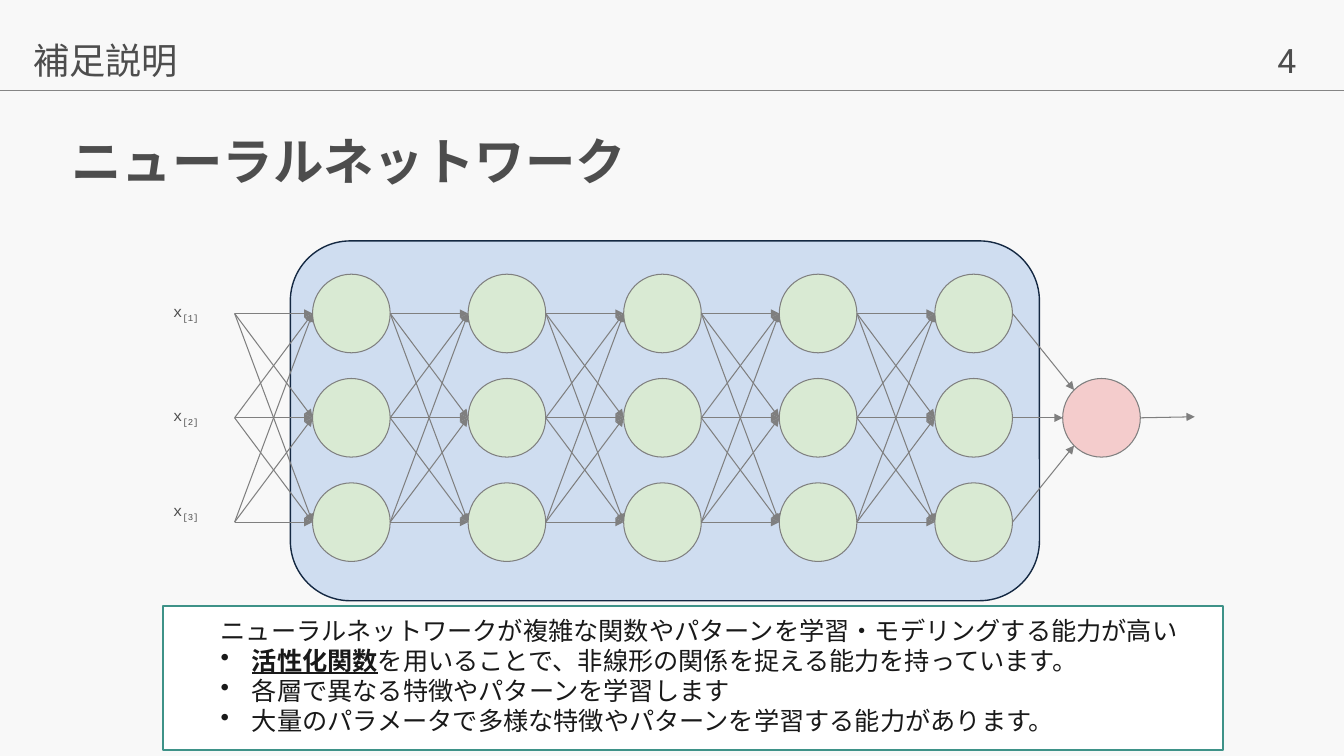
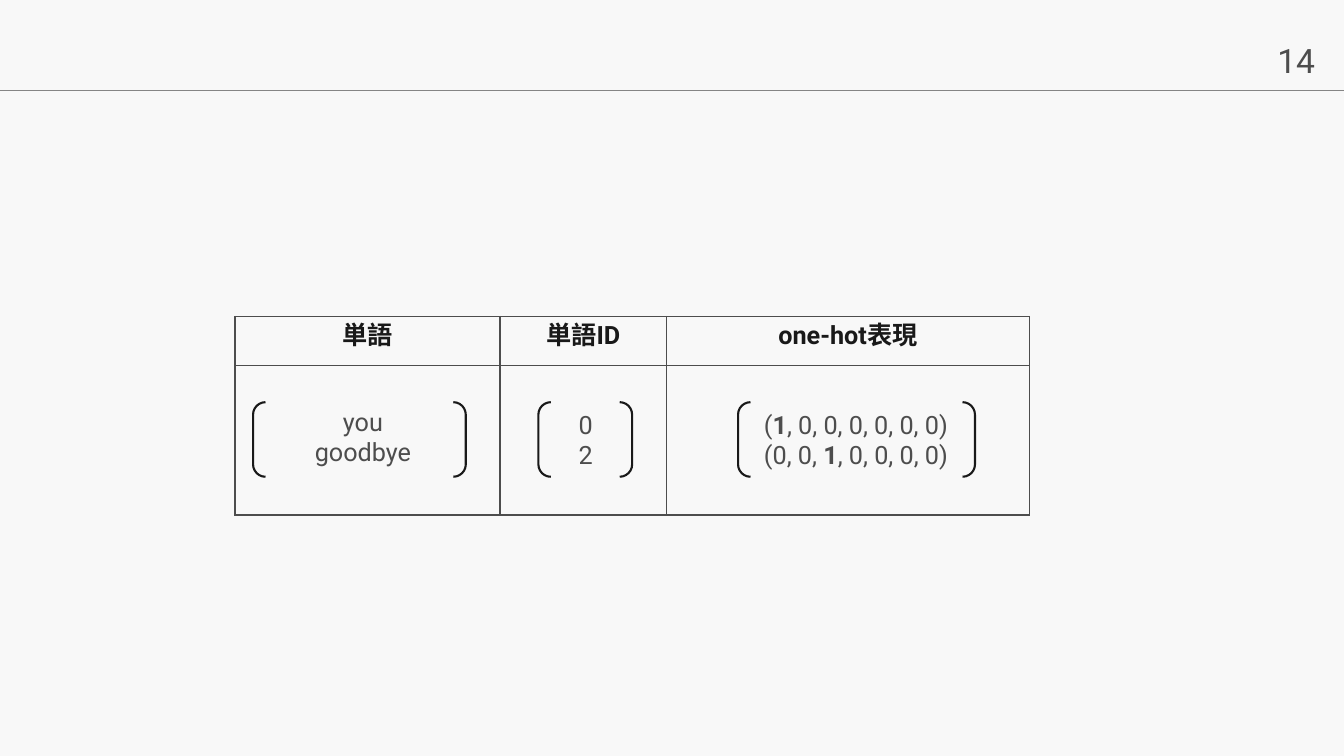
from itertools import product
from math import sqrt

from lxml import etree
from pptx import Presentation
from pptx import util as u
from pptx.dml.color import RGBColor
from pptx.enum import shapes, text
from pptx.oxml import ns

# ---- content ----
COLORS = {
    "page": "F8F8F8", "rule": "858585", "text": "4D4D4D", "dark": "191919",
    "white": "FFFFFF", "teal": "3E9288", "panel": "CFDDF0", "navy": "142842",
    "hidden": "D9EAD3", "output": "F4CCCC", "edge": "7F7F7F",
}
SANS, CJK, MONO = "Roboto", "Noto Sans CJK JP", "Courier New"

SECTION = "補足説明"
TITLE = "ニューラルネットワーク"
INPUTS = [("1", 3.0), ("2", 4.03), ("3", 4.97)]  # index, top of label
SUMMARY = "ニューラルネットワークが複雑な関数やパターンを学習・モデリングする能力が高い"
POINTS = [
    ("Calibri", [("活性化関数", "bu"),
                 ("を用いることで、非線形の関係を捉える能力を持っています。", "")]),
    (SANS, [("各層で異なる特徴やパターンを学習します", "")]),
    (SANS, [("大量のパラメータで多様な特徴やパターンを学習する能力があります。", "")]),
]

HEADERS = ["単語", "単語ID", "one-hot表現"]
# bracket left and width, text left, top and width, lines
VECTORS = [
    (2.51, 2.11, 2.71, 3.98, 1.78, [[("you", "")], [("goodbye", "")]]),
    (5.34, 0.93, 5.53, 4.01, 0.56, [[("0", "")], [("2", "")]]),
    (7.32, 2.35, 7.38, 4.01, 2.22, [
        [("(", ""), ("1", "b"), (", 0, 0, 0, 0, 0, 0)", "")],
        [("(0, 0, ", ""), ("1", "b"), (", 0, 0, 0, 0)", "")]]),
]

# ---- grid, in inches ----
WIDTH, HEIGHT, RULE_Y = 13.33, 7.5, 0.9
LAYERS, ROWS = 5, 3
NODE_W, NODE_H = 0.77, 0.78
NODE_X, NODE_Y = 3.1, 2.72
STEP_X, STEP_Y = 1.543, 1.035
OUTPUT_X, ARROW_END = 10.54, 11.85
TABLE_X, TABLE_Y = 2.33, 3.14
COLS, TABLE_ROWS = (2.63, 1.65, 3.6), (0.49, 1.48)


def rgb(name):
    """Look up a named colour."""
    return RGBColor.from_string(COLORS[name])


def inches(*values):
    """Convert numbers to lengths."""
    return [u.Inches(v) for v in values]


def write(p, runs, size, font=SANS, color="text", align=None):
    """Fill a paragraph; run marks are b (bold), u (underline), s (subscript)."""
    p.alignment = align
    for words, marks in runs:
        r = p.add_run()
        r.text = words
        r.font.size = u.Pt(size)
        r.font.bold = "b" in marks
        r.font.underline = "u" in marks
        r.font.color.rgb = rgb(color)
        r.font.name = font
        props = r._r.get_or_add_rPr()
        etree.SubElement(props, ns.qn("a:ea"), typeface=font)
        if "s" in marks:
            props.set("baseline", "-25000")


def add_text(s, box, lines, size, pad_y=0.05, anchor=text.MSO_ANCHOR.TOP,
             spacing=None, **style):
    """Add a wrapped text box and return its text frame."""
    tf = s.shapes.add_textbox(*inches(*box)).text_frame
    tf.word_wrap = True
    tf.vertical_anchor = anchor
    tf.margin_top = tf.margin_bottom = u.Inches(pad_y)
    for i, runs in enumerate(lines):
        p = tf.paragraphs[0] if i == 0 else tf.add_paragraph()
        if spacing:
            p.line_spacing = spacing
        write(p, runs, size, **style)
    return tf


def add_shape(s, kind, box, fill, line, width):
    """Add a flat preset shape, unfilled when fill is None."""
    sp = s.shapes.add_shape(kind, *inches(*box))
    sp.shadow.inherit = False
    if fill:
        sp.fill.solid()
        sp.fill.fore_color.rgb = rgb(fill)
    else:
        sp.fill.background()
    sp.line.color.rgb = rgb(line)
    sp.line.width = u.Pt(width)


def add_line(s, start, end, color, width, arrow=False):
    """Add a straight line, with an arrowhead at its end if wanted."""
    c = s.shapes.add_connector(shapes.MSO_CONNECTOR.STRAIGHT,
                               *inches(*start, *end))
    c.line.color.rgb = rgb(color)
    c.line.width = u.Pt(width)
    if arrow:
        etree.SubElement(c.line._get_or_add_ln(), ns.qn("a:tailEnd"),
                         type="triangle")
    etree.SubElement(c._element.spPr, ns.qn("a:effectLst"))


def add_bullet(tf, runs, font):
    """Append a bulleted paragraph with a hanging indent."""
    p = tf.add_paragraph()
    write(p, runs, 18, font=font, color="dark")
    props = p._p.get_or_add_pPr()
    hang = u.Inches(0.31)
    props.set("marL", str(hang))
    props.set("indent", str(-hang))
    etree.SubElement(props, ns.qn("a:buChar"), char="•")


def set_borders(cell, color, width):
    """Draw a solid line on all four sides of a cell."""
    props = cell._tc.get_or_add_tcPr()
    for i, side in enumerate(("lnL", "lnR", "lnT", "lnB")):
        ln = etree.Element(ns.qn("a:" + side), w=str(u.Pt(width)))
        fill = etree.SubElement(ln, ns.qn("a:solidFill"))
        etree.SubElement(fill, ns.qn("a:srgbClr"), val=COLORS[color])
        props.insert(i, ln)


def new_slide(prs, number):
    """Add a slide with the shared background, page number and rule."""
    s = prs.slides.add_slide(prs.slide_layouts[6])
    s.background.fill.solid()
    s.background.fill.fore_color.rgb = rgb("page")
    add_text(s, (12.57, 0.35, 0.61, 0.5), [[(str(number), "")]], 24)
    add_line(s, (0, RULE_Y), (WIDTH, RULE_Y), "rule", 1)
    return s


def draw_network(s):
    """Draw the hidden layers, the output node and all arrows."""
    oval = shapes.MSO_SHAPE.OVAL
    lefts = [NODE_X + i * STEP_X for i in range(LAYERS)]
    tops = [NODE_Y + i * STEP_Y for i in range(ROWS)]
    mids = [top + NODE_H / 2 for top in tops]
    for x, y in product(lefts, tops):
        add_shape(s, oval, (x, y, NODE_W, NODE_H), "hidden", "edge", 0.75)
    for x, y1, y2 in product(lefts, mids, mids):
        add_line(s, (x - STEP_X + NODE_W, y1), (x, y2), "edge", 0.75, True)

    add_shape(s, oval, (OUTPUT_X, tops[1], NODE_W, NODE_H),
              "output", "edge", 0.75)
    right = lefts[-1] + NODE_W
    diag_x = OUTPUT_X + NODE_W / 2 * (1 - sqrt(0.5))
    diag_y = NODE_H / 2 * sqrt(0.5)
    ends = [(diag_x, mids[1] - diag_y), (OUTPUT_X, mids[1]),
            (diag_x, mids[1] + diag_y)]
    for y, end in zip(mids, ends):
        add_line(s, (right, y), end, "edge", 0.75, True)
    add_line(s, (OUTPUT_X + NODE_W, mids[1]), (ARROW_END, mids[1] - 0.01),
             "edge", 0.75, True)


def network_slide(prs):
    """Build the neural network slide."""
    s = new_slide(prs, 4)
    add_shape(s, shapes.MSO_SHAPE.RECTANGLE, (1.62, 6.01, 10.51, 1.43),
              "white", "teal", 1.5)
    add_text(s, (0.61, 1.11, 12.14, 1.03), [[(TITLE, "b")]], 36, font=CJK,
             anchor=text.MSO_ANCHOR.MIDDLE, spacing=0.9)
    add_shape(s, shapes.MSO_SHAPE.ROUNDED_RECTANGLE, (2.88, 2.39, 7.43, 3.57),
              "panel", "navy", 1)
    add_text(s, (0.23, 0.38, 12.53, 0.51), [[(SECTION, "")]], 25.9, font=CJK,
             spacing=0.9)
    draw_network(s)
    for index, top in INPUTS:
        add_text(s, (1.62, top, NODE_W, 0.47),
                 [[("x", ""), (f"[{index}]", "s")]], 11, pad_y=0, font=MONO)
    tf = add_text(s, (2.09, 6.05, 10.51, 1.31), [[(SUMMARY, "")]], 18,
                  font="Calibri", color="dark")
    for font, runs in POINTS:
        add_bullet(tf, runs, font)


def one_hot_slide(prs):
    """Build the one-hot table slide."""
    s = new_slide(prs, 14)
    center = text.PP_ALIGN.CENTER
    table = s.shapes.add_table(
        len(TABLE_ROWS), len(COLS),
        *inches(TABLE_X, TABLE_Y, sum(COLS), sum(TABLE_ROWS))).table
    table.first_row = table.horz_banding = False
    for col, width in zip(table.columns, COLS):
        col.width = u.Inches(width)
    for row, height in zip(table.rows, TABLE_ROWS):
        row.height = u.Inches(height)
    for cell in table.iter_cells():
        cell.fill.solid()
        cell.fill.fore_color.rgb = rgb("page")
        set_borders(cell, "text", 1)
    for i, header in enumerate(HEADERS):
        write(table.cell(0, i).text_frame.paragraphs[0], [(header, "b")], 18,
              color="dark", align=center)
    for left, width, text_x, text_y, text_w, lines in VECTORS:
        add_shape(s, shapes.MSO_SHAPE.DOUBLE_BRACKET,
                  (left, 3.99, width, 0.74), None, "dark", 1.5)
        add_text(s, (text_x, text_y, text_w, 0.71), lines, 18, align=center)


prs = Presentation()
prs.slide_width, prs.slide_height = inches(WIDTH, HEIGHT)
network_slide(prs)
one_hot_slide(prs)
prs.save("out.pptx")
